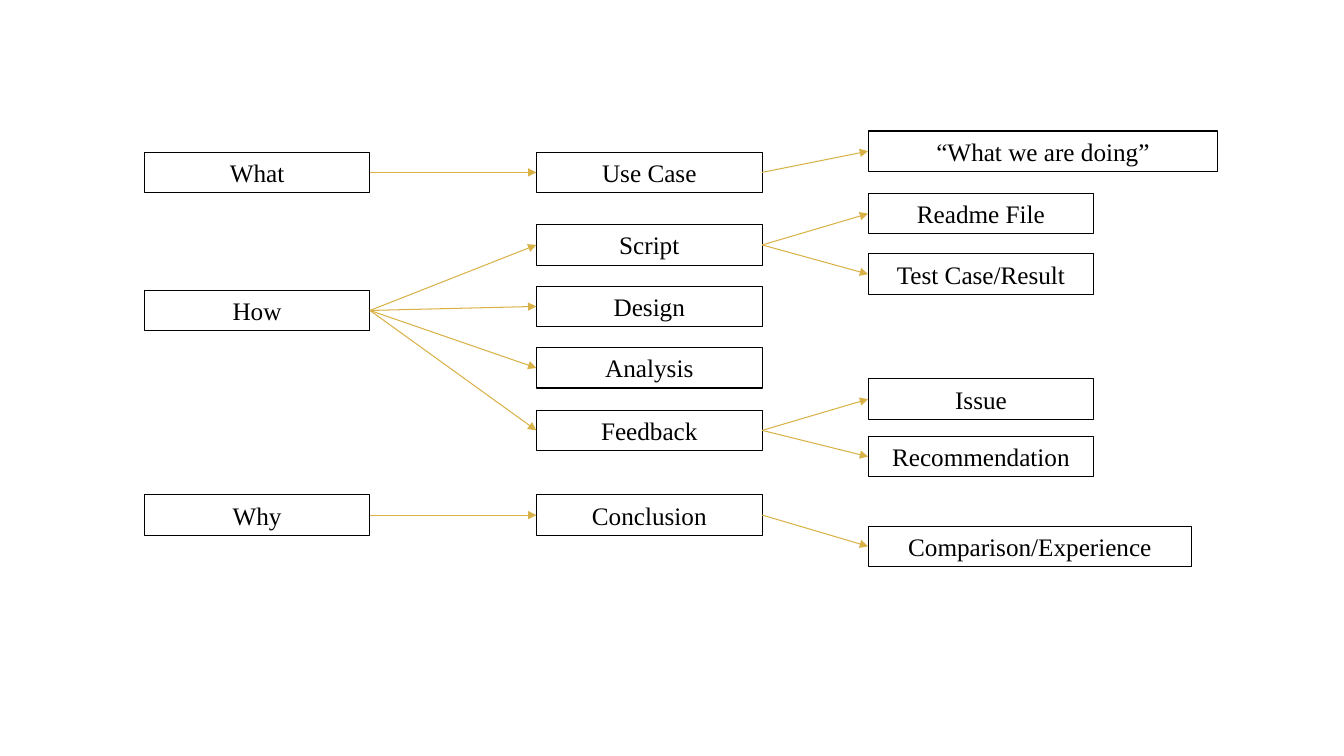
from lxml.etree import SubElement
from pptx import Presentation
from pptx.dml.color import RGBColor
from pptx.enum.shapes import MSO_CONNECTOR, MSO_SHAPE
from pptx.enum.text import MSO_ANCHOR, MSO_AUTO_SIZE, PP_ALIGN
from pptx.oxml.ns import qn
from pptx.util import Inches, Pt

BLACK = RGBColor(0x00, 0x00, 0x00)
GOLD = RGBColor(0xD9, 0xB2, 0x47)
FONT = "Times New Roman"

BOX_WIDTH, BOX_HEIGHT = 2.24, 0.4
WIDE_BOXES = {"“What we are doing”": 3.47, "Comparison/Experience": 3.21}

# Each column: left edge, then the top edge of every box in it
COLUMNS = [
    (1.43, {"What": 1.51, "How": 2.88, "Why": 4.91}),
    (5.32, {"Use Case": 1.51, "Script": 2.23, "Design": 2.84,
            "Analysis": 3.45, "Feedback": 4.07, "Conclusion": 4.91}),
    (8.61, {"“What we are doing”": 1.3, "Readme File": 1.92,
            "Test Case/Result": 2.52, "Issue": 3.76,
            "Recommendation": 4.33, "Comparison/Experience": 5.22}),
]

BRANCHES = {
    "What": ["Use Case"],
    "How": ["Script", "Design", "Analysis", "Feedback"],
    "Why": ["Conclusion"],
    "Use Case": ["“What we are doing”"],
    "Script": ["Readme File", "Test Case/Result"],
    "Feedback": ["Issue", "Recommendation"],
    "Conclusion": ["Comparison/Experience"],
}

LEFT_SIDE, RIGHT_SIDE = 1, 3


def add_box(page, label, left, top):
    width = WIDE_BOXES.get(label, BOX_WIDTH)
    box = page.shapes.add_shape(MSO_SHAPE.RECTANGLE, Inches(left), Inches(top),
                                Inches(width), Inches(BOX_HEIGHT))
    box.shadow.inherit = False
    box.fill.background()
    box.line.color.rgb = BLACK
    box.line.width = Pt(0.75)
    frame = box.text_frame
    frame.word_wrap = True
    frame.auto_size = MSO_AUTO_SIZE.SHAPE_TO_FIT_TEXT
    frame.vertical_anchor = MSO_ANCHOR.TOP
    para = frame.paragraphs[0]
    para.alignment = PP_ALIGN.CENTER
    span = para.add_run()
    span.text = label
    span.font.name = FONT
    span.font.size = Pt(18)
    span.font.color.rgb = BLACK
    return box


def add_arrow(page, source, target):
    arrow = page.shapes.add_connector(MSO_CONNECTOR.STRAIGHT, 0, 0, 0, 0)
    arrow.begin_connect(source, RIGHT_SIDE)
    arrow.end_connect(target, LEFT_SIDE)
    arrow.line.color.rgb = GOLD
    arrow.line.width = Pt(0.75)
    SubElement(arrow.line._get_or_add_ln(), qn("a:tailEnd"), type="triangle")
    SubElement(arrow._element.spPr, qn("a:effectLst"))


def main():
    deck = Presentation()
    deck.slide_width, deck.slide_height = Inches(13.33), Inches(7.5)
    page = deck.slides.add_slide(deck.slide_layouts[6])
    boxes = {label: add_box(page, label, left, top)
             for left, tops in COLUMNS for label, top in tops.items()}
    for source, targets in BRANCHES.items():
        for target in targets:
            add_arrow(page, boxes[source], boxes[target])
    deck.save("out.pptx")


if __name__ == "__main__":
    main()
